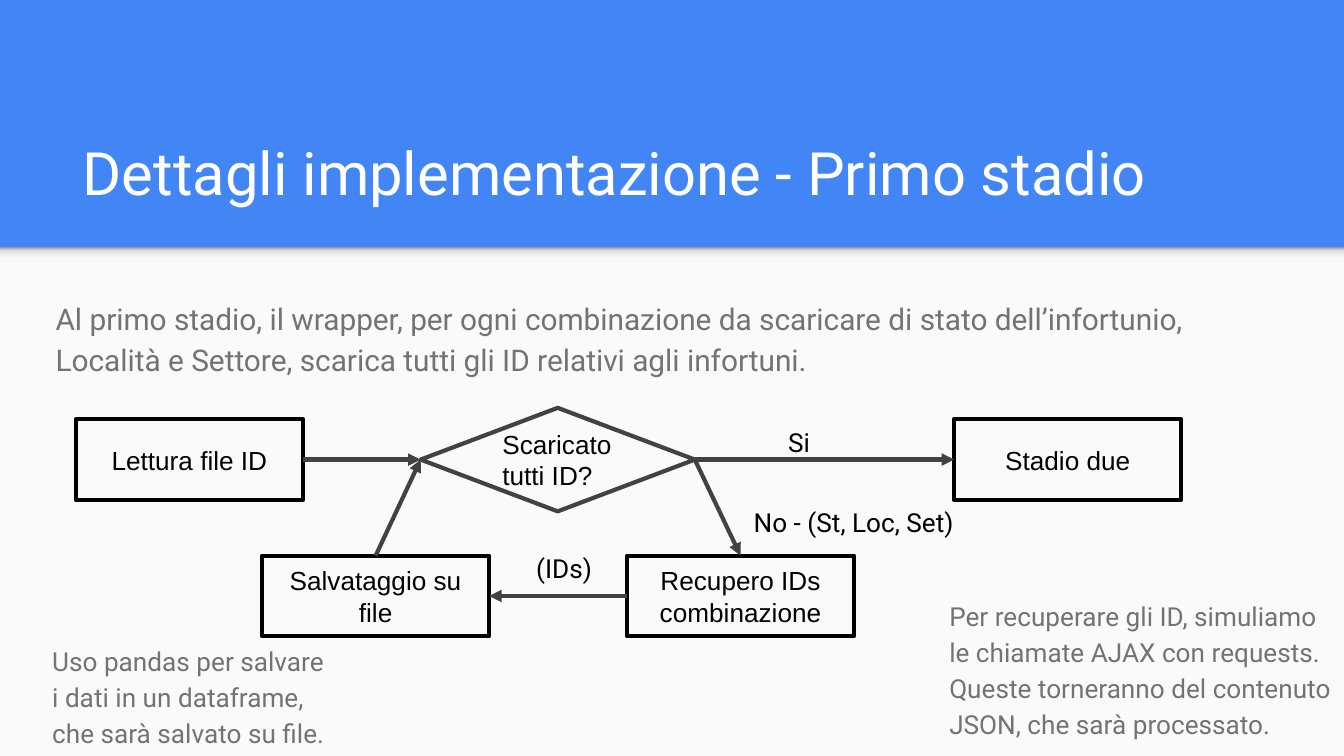
from pptx import Presentation
from pptx.dml.color import RGBColor
from pptx.enum.shapes import MSO_CONNECTOR as Connector, MSO_SHAPE as Shape
from pptx.enum.text import MSO_ANCHOR as Anchor, MSO_AUTO_SIZE as AutoSize, PP_ALIGN as Align
from pptx.oxml import parse_xml
from pptx.oxml.ns import nsdecls, qn
from pptx.util import Pt

PX = 4572
WIDTH, HEIGHT = 2000, 1125
PANEL_TOP = 368
INSET = 20
BLUE, PAPER, WHITE = "4285F4", "FAFAFA", "FFFFFF"
BLACK, DARK, GREY = "000000", "424242", "737373"
SHADE = [(0, "F9F9F9"), (36, "F9F9F9"), (80, "DEDEDE"), (100, "999999")]

TITLE = ("Dettagli implementazione - Primo stadio", (103, 161, 1798, 168))
NOTES = [
    ("Al primo stadio, il wrapper, per ogni combinazione da scaricare di stato "
     "dell’infortunio, Località e Settore, scarica tutti gli ID relativi agli infortuni.",
     (63, 420, 1838, 168), 16),
    ("Per recuperare gli ID, simuliamo le chiamate AJAX con requests. "
     "Queste torneranno del contenuto JSON, che sarà processato.",
     (1393, 866, 620, 168), 14),
    ("Uso pandas per salvare i dati in un dataframe, che sarà salvato su file.",
     (58, 933, 448, 168), 14),
]
STEP_SIZE = (338, 120)
UPPER, LOWER = 624, 827
STEPS = {
    "read": ("Lettura file ID", 113, UPPER),
    "fetch": ("Recupero IDs combinazione", 933, LOWER),
    "save": ("Salvataggio su file", 390, LOWER),
    "next": ("Stadio due", 1420, UPPER),
}
DECISION = ("Scaricato tutti ID?", (626, 607, 408, 154))
TOP, LEFT, BOTTOM, RIGHT = range(4)
ARROWS = [
    ("read", RIGHT, "decision", LEFT),
    ("decision", RIGHT, "fetch", TOP),
    ("fetch", LEFT, "save", RIGHT),
    ("save", TOP, "decision", LEFT),
    ("decision", RIGHT, "next", LEFT),
]
LABELS = [
    ("Si", (1153, 614, 244, 44)),
    ("No - (St, Loc, Set)", (1102, 733, 374, 44)),
    ("(IDs)", (778, 802, 244, 44)),
]


def color(value):
    return RGBColor.from_string(value)


def scaled(area):
    return [length * PX for length in area]


def write(box, text, size, tint, font="Roboto", align=Align.LEFT, anchor=Anchor.TOP):
    frame = box.text_frame
    frame.word_wrap = True
    frame.auto_size = AutoSize.NONE
    frame.vertical_anchor = anchor
    frame.margin_left = frame.margin_right = INSET * PX
    frame.margin_top = frame.margin_bottom = INSET * PX
    para = frame.paragraphs[0]
    para.alignment = align
    span = para.add_run()
    span.text = text
    span.font.name = font
    span.font.size = Pt(size)
    span.font.color.rgb = color(tint)
    return para


def add_band(page, area):
    band = page.shapes.add_shape(Shape.RECTANGLE, *scaled(area))
    band.shadow.inherit = False
    band.line.fill.background()
    return band


def add_node(page, kind, area, text, outline, align):
    node = page.shapes.add_shape(kind, *scaled(area))
    node.shadow.inherit = False
    node.fill.background()
    node.line.color.rgb = color(outline)
    node.line.width = Pt(2.25)
    write(node, text, 14, BLACK, "Arial", align, Anchor.MIDDLE)
    return node


def add_arrow(page, start, start_site, end, end_site):
    arrow = page.shapes.add_connector(Connector.STRAIGHT, 0, 0, 0, 0)
    arrow.begin_connect(start, start_site)
    arrow.end_connect(end, end_site)
    arrow.line.color.rgb = color(DARK)
    arrow.line.width = Pt(2.25)
    arrow.line._get_or_add_ln().append(
        parse_xml(f'<a:tailEnd {nsdecls("a")} type="triangle"/>'))
    arrow._element.spPr.append(parse_xml(f'<a:effectLst {nsdecls("a")}/>'))


def add_text(page, area, text, size, tint):
    box = page.shapes.add_textbox(*scaled(area))
    return write(box, text, size, tint)


def main():
    deck = Presentation()
    deck.slide_width, deck.slide_height = scaled((WIDTH, HEIGHT))
    page = deck.slides.add_slide(deck.slide_layouts[5])
    page.background.fill.solid()
    page.background.fill.fore_color.rgb = color(BLUE)

    panel = add_band(page, (0, PANEL_TOP, WIDTH, HEIGHT - PANEL_TOP))
    panel.fill.solid()
    panel.fill.fore_color.rgb = color(PAPER)
    shade = add_band(page, (0, PANEL_TOP, WIDTH, 24))
    shade.fill.gradient()
    shade.fill.gradient_angle = 90
    stops = shade._element.spPr.find(qn("a:gradFill")).find(qn("a:gsLst"))
    stops.clear()
    for percent, tint in SHADE:
        stops.append(parse_xml(f'<a:gs {nsdecls("a")} pos="{percent * 1000}">'
                               f'<a:srgbClr val="{tint}"/></a:gs>'))

    heading, area = TITLE
    title = page.shapes.title
    title.left, title.top, title.width, title.height = scaled(area)
    write(title, heading, 32, WHITE, anchor=Anchor.BOTTOM)

    for text, area, size in NOTES:
        para = add_text(page, area, text, size, GREY)
        para.line_spacing = 1.15
        para.space_after = Pt(16)

    nodes = {
        name: add_node(page, Shape.RECTANGLE, (left, top, *STEP_SIZE), text, BLACK, Align.CENTER)
        for name, (text, left, top) in STEPS.items()
    }
    question, area = DECISION
    nodes["decision"] = add_node(
        page, Shape.FLOWCHART_DECISION, area, question, DARK, Align.LEFT)
    for start, start_site, end, end_site in ARROWS:
        add_arrow(page, nodes[start], start_site, nodes[end], end_site)
    for text, area in LABELS:
        add_text(page, area, text, 14, BLACK)

    deck.save("out.pptx")


if __name__ == "__main__":
    main()
